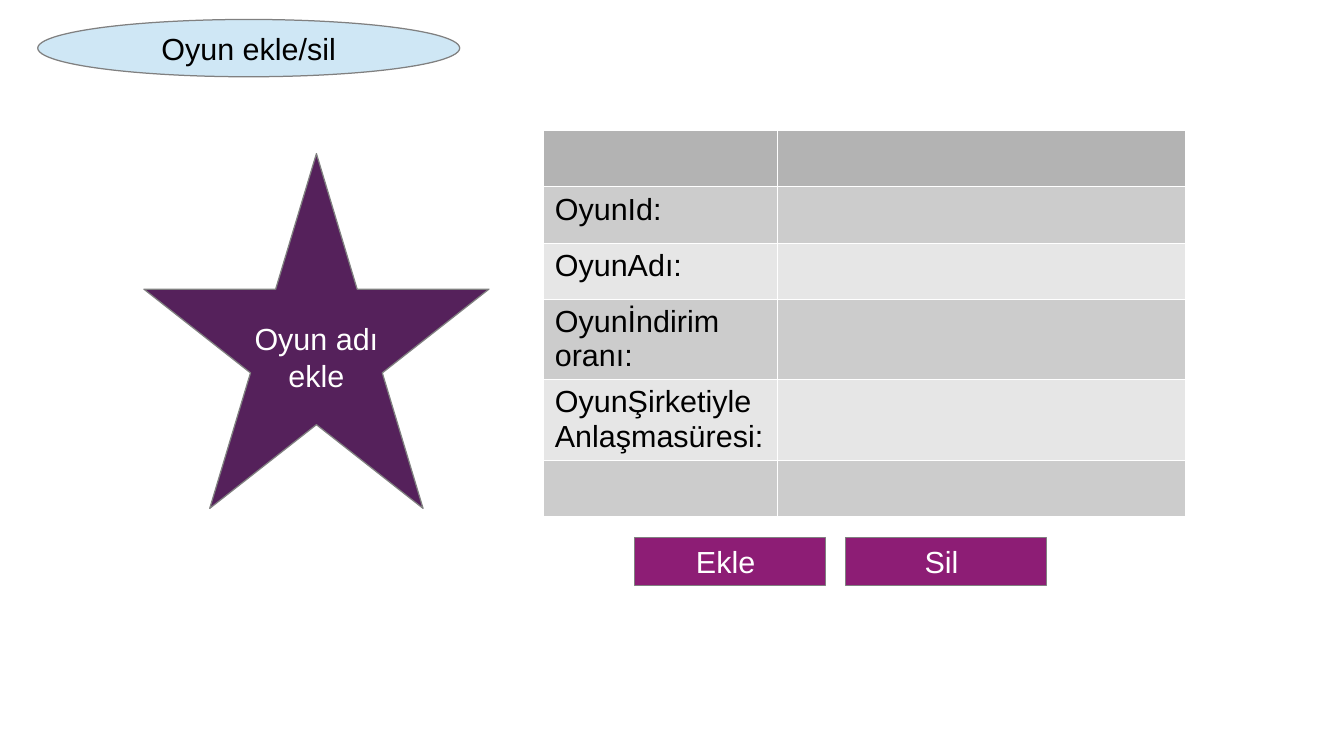
import pptx
import pptx.dml.color
import pptx.enum.shapes
import pptx.enum.text
import pptx.oxml
import pptx.oxml.ns
import pptx.util
from pptx.util import Inches

COLORS = {
    "star": "55215B",
    "title": "CFE7F5",
    "button": "8D1D75",
    "outline": "808080",
    "header": "B3B3B3",
    "dark_band": "CCCCCC",
    "light_band": "E6E6E6",
    "white": "FFFFFF",
    "black": "000000",
}
SHAPES = pptx.enum.shapes.MSO_SHAPE
FIELDS = [
    [],
    ["OyunId:"],
    ["OyunAdı:"],
    ["Oyunİndirim oranı:"],
    ["OyunŞirketiyle", "Anlaşmasüresi:"],
    [],
]
COLUMN_WIDTHS = [1.92, 3.35]
ROW_HEIGHTS = [0.46, 0.46, 0.46, 0.66, 0.66, 0.46]


def rgb(name):
    return pptx.dml.color.RGBColor.from_string(COLORS[name])


def write_lines(frame, lines, color, align=None):
    """Put each line in its own paragraph."""
    for index, line in enumerate(lines):
        paragraph = frame.add_paragraph() if index else frame.paragraphs[0]
        paragraph.alignment = align
        run = paragraph.add_run()
        run.text = line
        run.font.name = "Arial"
        run.font.size = pptx.util.Pt(18)
        run.font.color.rgb = rgb(color)


def add_label(slide, kind, box, fill, lines, color):
    """Add a filled, outlined shape with centred text."""
    label = slide.shapes.add_shape(kind, *map(Inches, box))
    label.shadow.inherit = False
    label.fill.solid()
    label.fill.fore_color.rgb = rgb(fill)
    label.line.color.rgb = rgb("outline")
    label.line.width = pptx.util.Pt(0)
    frame = label.text_frame
    frame.word_wrap = False
    frame.vertical_anchor = pptx.enum.text.MSO_ANCHOR.MIDDLE
    write_lines(frame, lines, color, pptx.enum.text.PP_ALIGN.CENTER)


def add_borders(cell):
    properties = cell._tc.get_or_add_tcPr()
    for index, side in enumerate("LRTB"):
        border = pptx.oxml.parse_xml(
            f'<a:ln{side} {pptx.oxml.ns.nsdecls("a")} w="{pptx.util.Pt(0.06)}">'
            f'<a:solidFill><a:srgbClr val="{COLORS["white"]}"/></a:solidFill>'
            f'</a:ln{side}>'
        )
        properties.insert(index, border)


def band_color(row):
    if row == 0:
        return "header"
    return "dark_band" if row % 2 else "light_band"


def add_game_form(slide):
    form = slide.shapes.add_table(
        len(ROW_HEIGHTS), len(COLUMN_WIDTHS), Inches(4.45), Inches(1.07),
        Inches(sum(COLUMN_WIDTHS)), Inches(sum(ROW_HEIGHTS)),
    ).table
    form.first_row = form.horz_banding = False
    for column, width in zip(form.columns, COLUMN_WIDTHS):
        column.width = Inches(width)
    for index, (row, height) in enumerate(zip(form.rows, ROW_HEIGHTS)):
        row.height = Inches(height)
        for cell in row.cells:
            cell.fill.solid()
            cell.fill.fore_color.rgb = rgb(band_color(index))
            add_borders(cell)
        write_lines(row.cells[0].text_frame, FIELDS[index], "black")


def main():
    presentation = pptx.Presentation()
    presentation.slide_width = Inches(11.02)
    presentation.slide_height = Inches(6.2)
    slide = presentation.slides.add_slide(presentation.slide_layouts[6])

    add_label(slide, SHAPES.STAR_5_POINT, (1.18, 1.26, 2.83, 2.91),
              "star", ["Oyun adı", "ekle"], "white")
    add_game_form(slide)
    add_label(slide, SHAPES.OVAL, (0.31, 0.16, 3.46, 0.47),
              "title", ["Oyun ekle/sil"], "black")
    for caption, left, width in [("Ekle ", 5.2, 1.57), ("Sil ", 6.93, 1.65)]:
        add_label(slide, SHAPES.RECTANGLE, (left, 4.41, width, 0.39),
                  "button", [caption], "white")

    presentation.save("out.pptx")


if __name__ == "__main__":
    main()
